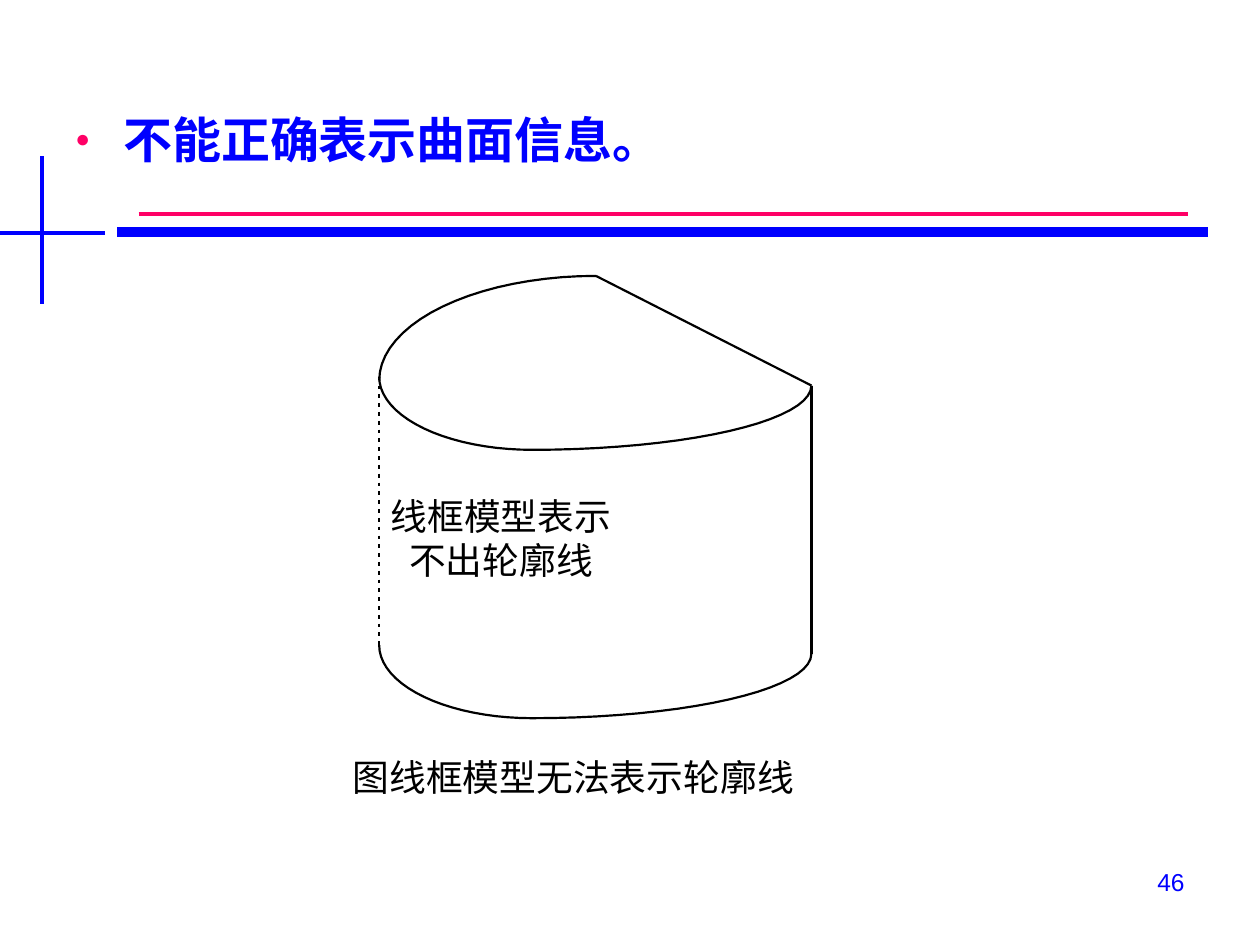
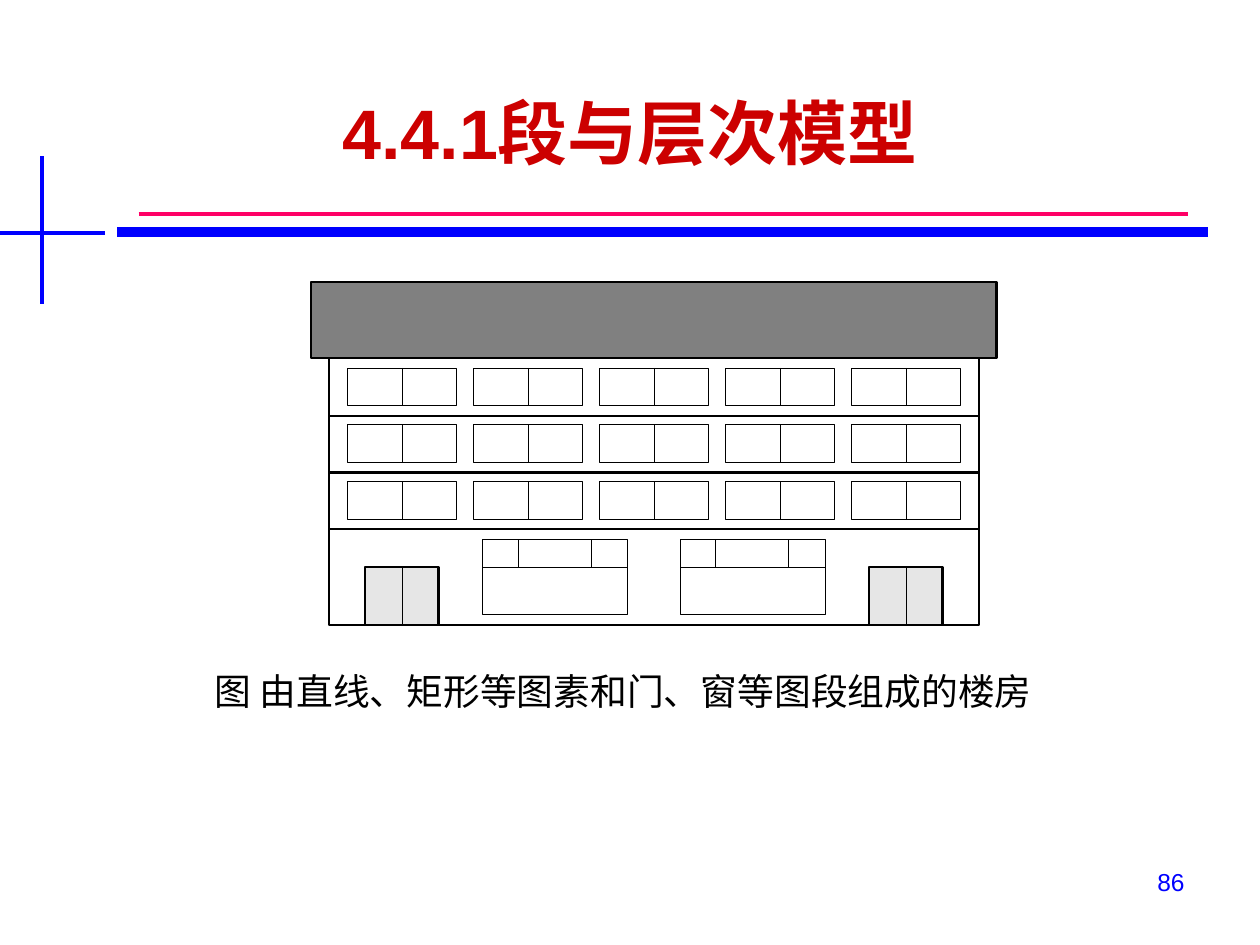
from math import cos, pi, sin

from lxml.etree import SubElement
from pptx import Presentation
from pptx.dml.color import RGBColor
from pptx.enum.shapes import MSO_CONNECTOR, MSO_SHAPE
from pptx.enum.text import MSO_ANCHOR, PP_ALIGN
from pptx.oxml.ns import qn
from pptx.util import Pt

PX = 9144
BLUE, PINK, RED = "0000FF", "FF0066", "CC0000"
BLACK, WHITE, ROOF_GRAY, DOOR_GRAY = "000000", "FFFFFF", "808080", "E6E6E6"
LATIN, CHINESE = "Arial", "Noto Sans CJK SC"
THICK, THIN = 1.25, 0.37
RULES = [
    (110, 170, 943, 170, PINK, 2.25),
    (93, 184, 959, 184, BLUE, 6),
    (0, 185, 83, 185, BLUE, 2.25),
    (33, 124, 33, 241, BLUE, 2.25),
]


def color(code):
    """Turn a hex string into a colour."""
    return RGBColor.from_string(code)


def style_line(shape, code, weight):
    """Set the outline colour and weight."""
    shape.line.color.rgb = color(code)
    shape.line.width = Pt(weight)


def add_line(page, x1, y1, x2, y2, code=BLACK, weight=THICK):
    """Draw a straight line without shadow."""
    line = page.shapes.add_connector(
        MSO_CONNECTOR.STRAIGHT, x1 * PX, y1 * PX, x2 * PX, y2 * PX)
    style_line(line, code, weight)
    SubElement(line._element.spPr, qn("a:effectLst"))
    return line


def add_rectangle(page, left, top, width, height, fill=WHITE, weight=THICK):
    """Draw a filled, outlined rectangle."""
    shape = page.shapes.add_shape(
        MSO_SHAPE.RECTANGLE, left * PX, top * PX, width * PX, height * PX)
    shape.shadow.inherit = False
    shape.fill.solid()
    shape.fill.fore_color.rgb = color(fill)
    style_line(shape, BLACK, weight)
    return shape


def add_curve(page, points):
    """Draw an open outline through the points."""
    points = [(round(x * PX), round(y * PX)) for x, y in points]
    builder = page.shapes.build_freeform(*points[0])
    builder.add_line_segments(points[1:], close=False)
    shape = builder.convert_to_shape()
    shape.shadow.inherit = False
    shape.fill.background()
    style_line(shape, BLACK, THICK)


def arc_points(center_x, center_y, radius_x, radius_y, start, end, steps=20):
    """List points on part of an ellipse, with angles in quarter turns."""
    angles = [(start + (end - start) * i / steps) * pi / 2 for i in range(steps + 1)]
    return [(center_x + radius_x * cos(a), center_y + radius_y * sin(a)) for a in angles]


def add_bullet(para):
    """Give the paragraph a small pink bullet with a hanging indent."""
    props = para._p.get_or_add_pPr()
    props.set("marL", str(38 * PX))
    props.set("indent", str(-38 * PX))
    tint = SubElement(props, qn("a:buClr"))
    SubElement(tint, qn("a:srgbClr"), val=PINK)
    SubElement(props, qn("a:buSzPct"), val="50000")
    SubElement(props, qn("a:buFont"), typeface=LATIN)
    SubElement(props, qn("a:buChar"), char="●")


def add_text(page, text, left, top, width, height, size=21, code=BLACK, font=CHINESE,
             bold=False, align=PP_ALIGN.CENTER, anchor=MSO_ANCHOR.TOP,
             inset=0, spacing=None, bullet=False, wrap=True):
    """Write text in a box, one paragraph for each line."""
    box = page.shapes.add_textbox(left * PX, top * PX, width * PX, height * PX)
    frame = box.text_frame
    frame.word_wrap = wrap
    frame.vertical_anchor = anchor
    frame.margin_left = frame.margin_right = inset * PX
    frame.margin_top = frame.margin_bottom = inset * PX // 2
    for index, line in enumerate(text.split("\n")):
        para = frame.paragraphs[0] if index == 0 else frame.add_paragraph()
        para.alignment = align
        if bullet:
            add_bullet(para)
        if spacing:
            para.line_spacing = Pt(spacing)
        span = para.add_run()
        span.text = line
        span.font.size = Pt(size)
        span.font.bold = bold
        span.font.name = font
        span.font.color.rgb = color(code)
        SubElement(span._r.get_or_add_rPr(), qn("a:ea"), typeface=CHINESE)


def add_caption(page, text, left, top, width, height=35):
    """Write a label or caption of a figure with tight lines."""
    add_text(page, text, left, top, width, height, spacing=25.2, wrap=False)


def add_heading(page, text, left, top, width, height, **style):
    """Write a bold heading above the rules."""
    add_text(page, text, left, top, width, height, font=LATIN, bold=True,
             anchor=MSO_ANCHOR.MIDDLE, inset=10, **style)


def add_page(deck, number):
    """Start a page with the shared rules and its number."""
    page = deck.slides.add_slide(deck.slide_layouts[6])
    for rule in RULES:
        add_line(page, *rule)
    add_text(page, number, 717, 683, 233, 52, size=14, code=BLUE, font=LATIN,
             align=PP_ALIGN.RIGHT, inset=10)
    return page


def draw_cut_cylinder(page, left, top, width, height):
    """Draw the wireframe of a cylinder with a flat cut."""
    right, bottom = left + width, top + height
    apex, low, rim, depth = left + 172, left + 121, top + 87, 213
    add_line(page, apex, top, right, rim)
    add_curve(page, arc_points(apex, top + 83, 172, 83, 3, 2))
    front = (arc_points(low, top + 80, low - left, 58, 2, 1)
             + arc_points(low, rim, right - low, 51, 1, 0))
    for drop in (0, depth):
        add_curve(page, [(x, y + drop) for x, y in front])
    add_line(page, right, rim, right, rim + depth)
    for y in range(rim, bottom - 58, 7):
        add_line(page, left, y, left, y + 3)
    add_caption(page, "线框模型表示\n不出轮廓线", left + 9, top + 173, 175, 70)


def draw_split_panel(page, left, top, width, height, fill=WHITE, weight=THIN):
    """Draw a door or window with a line down its middle."""
    panel = add_rectangle(page, left, top, width, height, fill, weight)
    middle = left + width // 2
    divider = add_line(page, middle, top, middle, top + height, weight=THIN)
    divider.begin_connect(panel, 0)
    divider.end_connect(panel, 2)


def draw_shop_window(page, left, top, width, height):
    """Draw a wide window with three panes along its top."""
    add_rectangle(page, left, top, width, height, weight=THIN)
    sill = top + 22
    add_line(page, left, sill, left + width, sill, weight=THIN)
    for x in (left + width // 4, left + width * 3 // 4):
        add_line(page, x, top, x, sill, weight=THIN)


def draw_building(page, left, top, width, height):
    """Draw a building from a roof, floors, windows and doors."""
    eave, roof, storey = 14, 60, 45
    wall_left, wall_top = left + eave, top + roof
    wall_width, bottom = width - 2 * eave, top + height
    add_rectangle(page, wall_left, wall_top, wall_width, height - roof)
    add_rectangle(page, left, top, width, roof, ROOF_GRAY)
    for row in range(3):
        ceiling = wall_top + 1 + row * storey
        floor = ceiling + storey
        add_line(page, wall_left, floor, wall_left + wall_width, floor)
        for column in range(5):
            draw_split_panel(page, wall_left + 15 + column * 100, ceiling + 7, 86, 30)
    for x in (29, 429):
        draw_split_panel(page, wall_left + x, bottom - 46, 58, 46, DOOR_GRAY, THICK)
    for x in (122, 279):
        draw_shop_window(page, wall_left + x, bottom - 68, 115, 60)


def build_surface_page(deck):
    """Build the page on missing surface information."""
    page = add_page(deck, "46")
    add_heading(page, "不能正确表示曲面信息。", 50, 58, 900, 104, size=28, code=BLUE,
                align=PP_ALIGN.JUSTIFY, bullet=True)
    draw_cut_cylinder(page, 301, 219, 343, 351)
    add_caption(page, "图线框模型无法表示轮廓线", 280, 599, 350)


def build_hierarchy_page(deck):
    """Build the page on segments and hierarchical models."""
    page = add_page(deck, "86")
    add_heading(page, "4.4.1段与层次模型", 75, 42, 850, 125, size=40, code=RED)
    draw_building(page, 247, 224, 544, 272)
    add_caption(page, "图 由直线、矩形等图素和门、窗等图段组成的楼房", 167, 531, 655)


def main():
    """Build and save the deck."""
    deck = Presentation()
    deck.slide_width, deck.slide_height = 1000 * PX, 750 * PX
    build_surface_page(deck)
    build_hierarchy_page(deck)
    deck.save("out.pptx")


if __name__ == "__main__":
    main()
